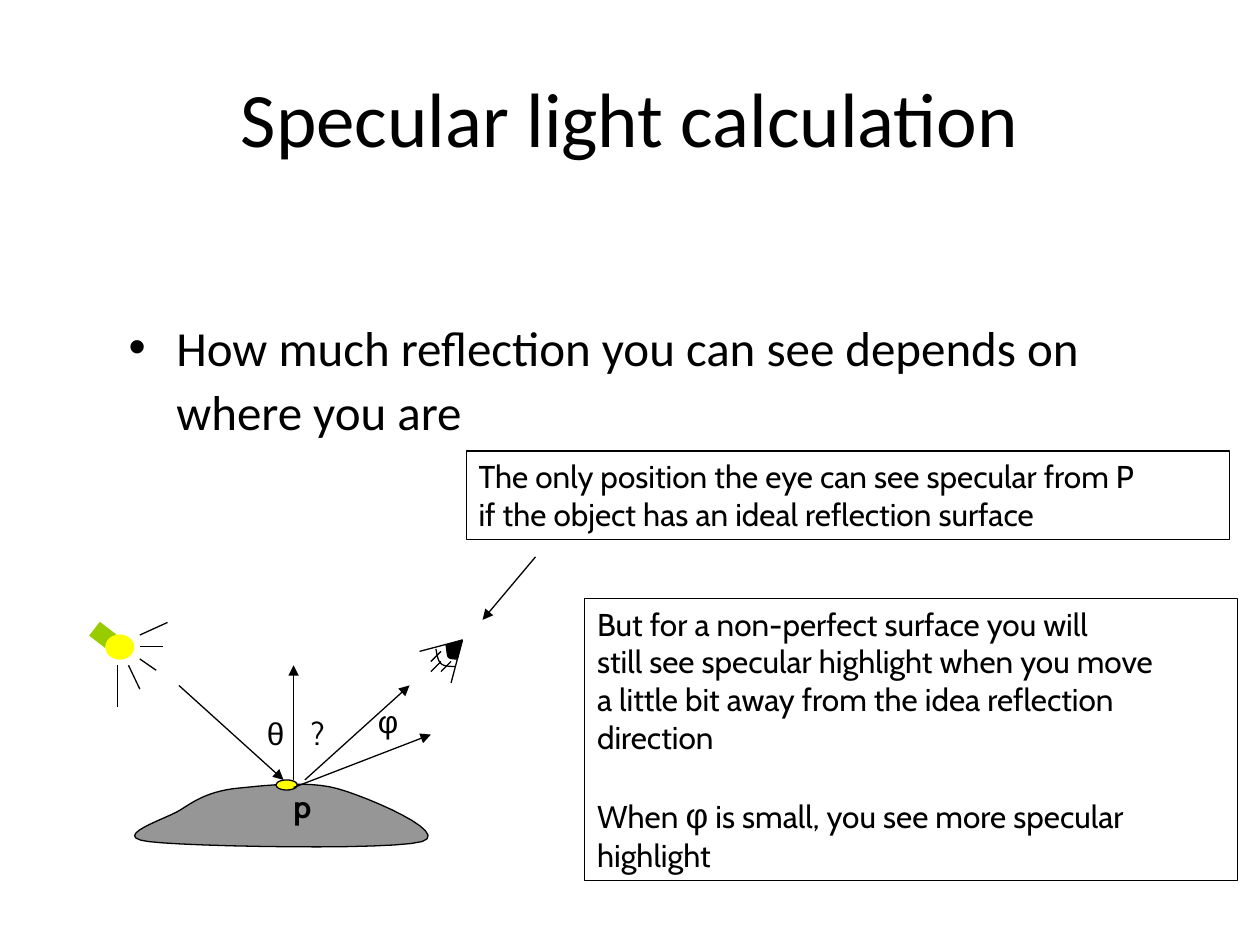
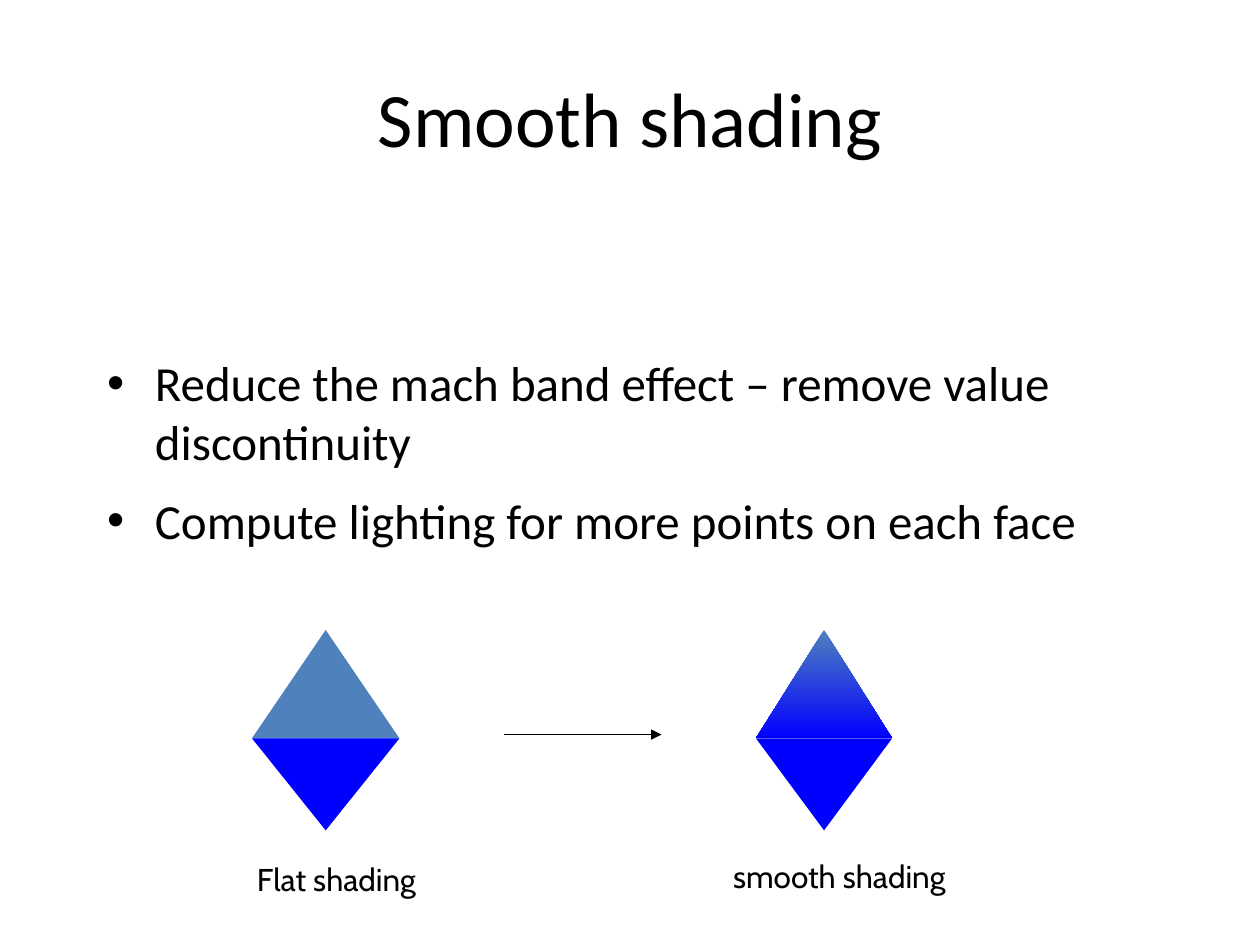
from pptx import Presentation
from pptx import util as u
from pptx.dml.color import RGBColor
from pptx.enum import shapes, text
from pptx.oxml.ns import qn
from lxml import etree

HUES = {"ink": "000000", "stone": "969696", "lamp": "FFFF00", "neck": "99CC00",
        "pale": "4F81BD", "deep": "0000FF"}
HEAD, NOTE, GREEK = "Calibri", "Cabin", "Arial"
KIND = shapes.MSO_SHAPE


def hue(name):
    return RGBColor.from_string(HUES[name])


def span(*vals):
    return [u.Inches(v) for v in vals]


def style(font, face, size, bold=None):
    font.name, font.size, font.bold = face, u.Pt(size), bold
    font.color.rgb = hue("ink")


def paint(shape, fill=None, line=None):
    shape.shadow.inherit = False
    if fill:
        shape.fill.solid()
        shape.fill.fore_color.rgb = hue(fill)
    else:
        shape.fill.background()
    if line:
        shape.line.color.rgb = hue(line)
        shape.line.width = u.Pt(0.75)
    else:
        shape.line.fill.background()


def link(slide, x, y, ends, head=False, tint="ink", width=0.75):
    """Draw a straight line; ends are offsets from (x, y)."""
    a, b, c, d = ends
    line = slide.shapes.add_connector(
        shapes.MSO_CONNECTOR.STRAIGHT, *span(x + a, y + b, x + c, y + d))
    line.line.color.rgb = hue(tint)
    line.line.width = u.Pt(width)
    if head:
        tip = etree.SubElement(line.line._get_or_add_ln(), qn("a:tailEnd"))
        tip.set("type", "triangle")
    etree.SubElement(line._element.spPr, qn("a:effectLst"))


def oval(slide, box, line):
    paint(slide.shapes.add_shape(KIND.OVAL, *span(*box)), "lamp", line)


def curve(start, bends, steps=12):
    """Points along a chain of cubic curves."""
    pts = [start]
    for bend in bends:
        knots = [pts[-1], *bend]
        for i in range(1, steps + 1):
            t = i / steps
            parts = ((1 - t) ** 3, 3 * t * (1 - t) ** 2, 3 * t * t * (1 - t), t ** 3)
            pts.append(tuple(sum(w * k[n] for w, k in zip(parts, knots))
                             for n in (0, 1)))
    return pts


def outline(slide, x, y, pts, fill=None):
    pts = [span(x + a, y + b) for a, b in pts]
    pen = slide.shapes.build_freeform(*pts[0], scale=1.0)
    pen.add_line_segments(pts[1:], close=bool(fill))
    paint(pen.convert_to_shape(), fill, "ink")


def label(slide, box, lines, face=NOTE, bold=None):
    """Text box; each line is one paragraph."""
    shape = slide.shapes.add_textbox(*span(*box))
    frame = shape.text_frame
    frame.word_wrap = True
    for i, words in enumerate(lines):
        para = frame.paragraphs[0] if i == 0 else frame.add_paragraph()
        if "φ" in words and len(words) > 1:
            for part in words.partition("φ"):
                run = para.add_run()
                run.text = part
                style(run.font, *((GREEK, 20) if part == "φ" else (face, 18)))
        else:
            para.text = words
            style(para.font, face, 18, bold)
    return shape


def callout(slide, box, lines):
    shape = label(slide, box, lines)
    paint(shape, line="ink")
    return shape.text_frame.paragraphs


def page(deck, head, box, items, gap=0, pitch=1.0):
    """Title and bullet list shared by both slides."""
    slide = deck.slides.add_slide(deck.slide_layouts[1])
    title, body = slide.placeholders
    title.left, title.top, title.width, title.height = span(0.5, 0.3, 9, 1.25)
    title.text_frame.text = head
    title.text_frame.vertical_anchor = text.MSO_ANCHOR.MIDDLE
    para = title.text_frame.paragraphs[0]
    para.alignment = text.PP_ALIGN.CENTER
    style(para.font, HEAD, 44)

    body.left, body.top, body.width, body.height = span(*box)
    frame = body.text_frame
    frame.text = "\n".join(items)
    frame.auto_size = text.MSO_AUTO_SIZE.NONE
    for i, para in enumerate(frame.paragraphs):
        props = para._p.get_or_add_pPr()
        props.set("marL", str(u.Inches(0.38)))
        props.set("indent", str(-u.Inches(0.38)))
        para.line_spacing = pitch
        para.space_before = u.Pt(gap if i else 0)
        etree.SubElement(props, qn("a:buChar")).set("char", "•")
        style(para.font, HEAD, 28)
    return slide


def hill(slide, x, y):
    # Surface with the lit point
    outline(slide, x, y, curve((0.32, 0.49), [
        ((0, 0.45), (0.46, 0.31), (0.57, 0.24)),
        ((0.68, 0.17), (0.78, 0.1), (0.99, 0.07)),
        ((1.2, 0.05), (1.57, 0), (1.82, 0.07)),
        ((2.07, 0.14), (2.72, 0.42), (2.49, 0.49)),
        ((2.25, 0.56), (0.64, 0.53), (0.32, 0.49))]), "stone")
    oval(slide, (x + 1.33, y, 0.17, 0.08), "ink")
    label(slide, (x + 1.37, y + 0.01, 0.4, 0.4), ["p"], bold=True)


def lamp(slide, x, y):
    link(slide, x, y, (0.13, 0.15, 0, 0.05), tint="neck", width=10)
    oval(slide, (x + 0.09, y + 0.1, 0.22, 0.19), "lamp")
    for beam in ((0.36, 0.1, 0.58, 0), (0.36, 0.19, 0.54, 0.19),
                 (0.36, 0.29, 0.49, 0.38), (0.27, 0.34, 0.36, 0.53),
                 (0.18, 0.34, 0.18, 0.67)):
        link(slide, x, y, beam)


def eye(slide, x, y):
    # Lids, iris, pupil, lashes
    for lid in ((0, 0.09, 0.34, 0), (0.34, 0, 0.25, 0.34)):
        link(slide, x, y, lid)
    outline(slide, x, y, curve((0.13, 0.07),
                               [((0.15, 0.19), (0.16, 0.21), (0.28, 0.21))]))
    pupil = curve((0.21, 0.04), [((0.23, 0.13), (0.2, 0.15), (0.3, 0.15))])
    outline(slide, x, y, pupil + [(0.34, 0)], "ink")
    for a, b in ((0.17, 0.09), (0.17, 0.17), (0.25, 0.17)):
        link(slide, x, y, (a, b, a - 0.08, b + 0.08))


def rays(slide, x, y):
    # Incoming, mirrored, normal and viewing rays
    for ray in ((0, 0, 0.83, 0.75), (1, 0.75, 1.83, 0),
                (0.91, 0.75, 0.91, -0.16), (0.91, 0.81, 2, 0.39)):
        link(slide, x, y, ray, head=True)
    for sign, a, b, face in (("θ", 0.6, 0.18, GREEK), ("?", 0.95, 0.18, NOTE),
                             ("φ", 1.48, 0.08, GREEK)):
        label(slide, (x + a, y + b, 0.4, 0.4), [sign], face)


def specular(deck):
    slide = page(deck, "Specular light calculation", (0.92, 2.42, 8.5, 4.5),
                 ["How much reflection you can see depends on where you are"],
                 pitch=1.1)
    callout(slide, (3.7, 3.58, 6.06, 0.7),
            ["The only position the eye can see specular from P",
             "if the object has an ideal reflection surface"])
    link(slide, 4.25, 4.42, (0, 0, -0.42, 0.5), head=True)
    paras = callout(slide, (4.64, 4.75, 5.18, 2.24),
                    ["But for a non-perfect surface you will",
                     "still see specular highlight when you move",
                     "a little bit away from the idea reflection",
                     "direction",
                     "When φ is small, you see more specular",
                     "highlight"])
    paras[4].space_before = u.Pt(21.6)
    hill(slide, 0.86, 6.19)
    lamp(slide, 0.75, 4.94)
    rays(slide, 1.42, 5.44)
    eye(slide, 3.33, 5.08)


def gem(slide, x, y, width, blend=False):
    """Two triangles, base to base."""
    top = slide.shapes.add_shape(KIND.ISOSCELES_TRIANGLE, *span(x, y, width, 0.86))
    paint(top, "pale")
    if blend:
        top.fill.gradient()
        top.fill.gradient_angle = 270
        for stop, name in zip(top.fill.gradient_stops, ("pale", "deep")):
            stop.color.rgb = hue(name)
    base = slide.shapes.add_shape(KIND.ISOSCELES_TRIANGLE,
                                  *span(x, y + 0.86, width, 0.73))
    base.rotation = 180
    paint(base, "deep")


def smooth(deck):
    slide = page(deck, "Smooth shading", (0.75, 2.75, 7.92, 2.75),
                 ["Reduce the mach band effect – remove value discontinuity",
                  "Compute lighting for more points on each face"], gap=11.5)
    gem(slide, 6, 5, 1.08, blend=True)
    gem(slide, 2, 5, 1.17)
    link(slide, 4, 5.83, (0, 0, 1.25, 0), head=True)
    label(slide, (1.94, 6.78, 1.63, 0.4), ["Flat shading"])
    label(slide, (5.72, 6.75, 2.1, 0.4), ["smooth shading"])


def main():
    deck = Presentation()
    deck.slide_width, deck.slide_height = span(10, 7.5)
    specular(deck)
    smooth(deck)
    deck.save("out.pptx")


if __name__ == "__main__":
    main()
